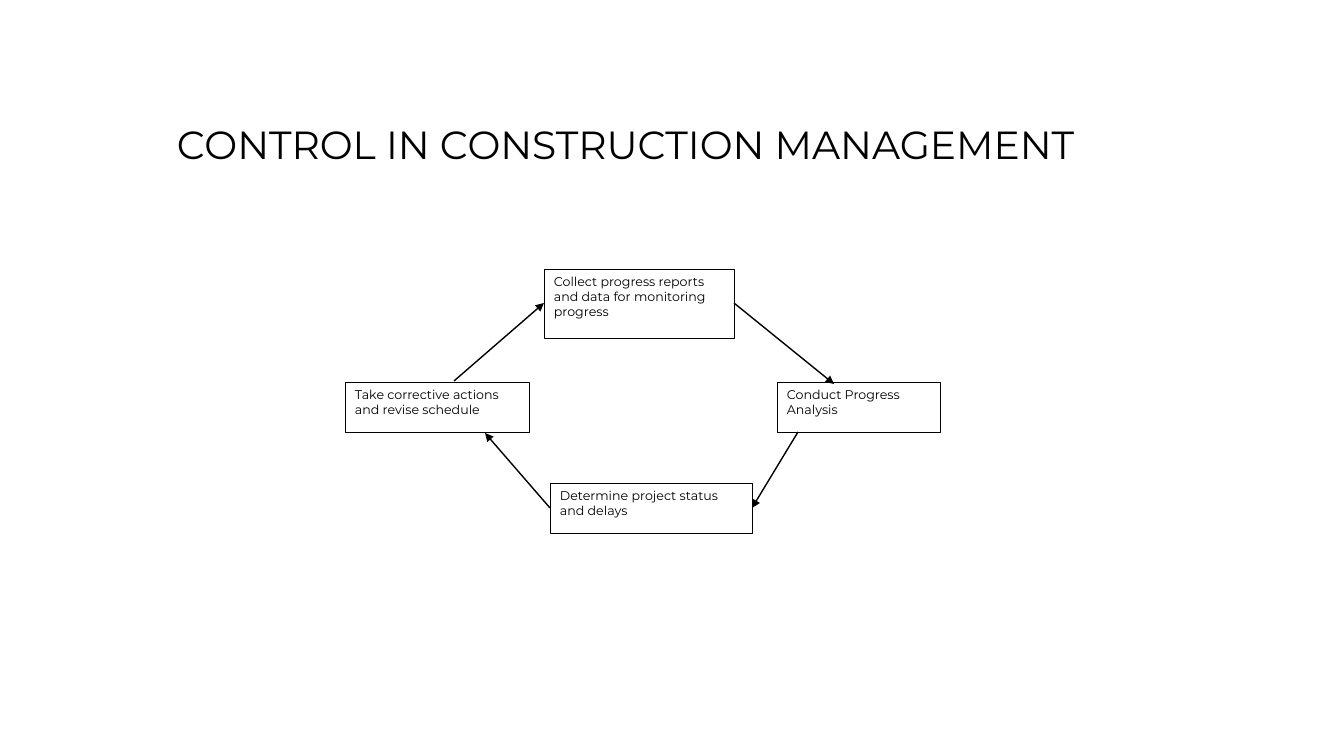
"""Build a slide showing the control cycle in construction management."""
import pptx
import pptx.util
import pptx.dml.color
import pptx.enum.shapes
import pptx.enum.text
import pptx.oxml

PX = 914400 / 100.8
FONT = "Montserrat"
COLORS = {"ink": "000000", "paper": "FFFFFF"}

TITLE = ("CONTROL IN CONSTRUCTION MANAGEMENT", (167, 89, 1030, 115))
STEPS = [
    ("Collect progress reports and data for monitoring progress", (544, 269, 190, 69)),
    ("Conduct Progress Analysis", (777, 382, 163, 50)),
    ("Determine project status and delays", (550, 483, 202, 50)),
    ("Take corrective actions and revise schedule", (345, 382, 184, 50)),
]
ARROWS = [
    (734, 303, 834, 384),
    (798, 432, 752, 508),
    (550, 508, 485, 433),
    (454, 381, 544, 303),
]


def emu(nums):
    return [pptx.util.Emu(round(n * PX)) for n in nums]


def color(name):
    return pptx.dml.color.RGBColor.from_string(COLORS[name])


def write(shape, text, size, anchor="TOP", after=0, lead=1.0):
    frame = shape.text_frame
    frame.word_wrap = True
    frame.vertical_anchor = getattr(pptx.enum.text.MSO_ANCHOR, anchor)
    para = frame.paragraphs[0]
    para.text = text
    para.alignment = pptx.enum.text.PP_ALIGN.LEFT
    para.space_after = pptx.util.Pt(after)
    para.line_spacing = lead
    para.font.name = FONT
    para.font.size = pptx.util.Pt(size)
    para.font.color.rgb = color("ink")


def add_step(slide, text, box):
    kind = pptx.enum.shapes.MSO_SHAPE.RECTANGLE
    step = slide.shapes.add_shape(kind, *emu(box))
    step.shadow.inherit = False
    step.fill.solid()
    step.fill.fore_color.rgb = color("paper")
    step.line.color.rgb = color("ink")
    step.line.width = pptx.util.Pt(0.5)
    write(step, text, 9, after=8)


def add_arrow(slide, ends):
    kind = pptx.enum.shapes.MSO_CONNECTOR.STRAIGHT
    arrow = slide.shapes.add_connector(kind, *emu(ends))
    arrow.line.color.rgb = color("ink")
    arrow.line.width = pptx.util.Pt(1)
    space = pptx.oxml.ns.nsdecls("a")
    head = pptx.oxml.parse_xml(f'<a:tailEnd {space} type="triangle"/>')
    arrow.line._get_or_add_ln().append(head)
    arrow._element.spPr.append(pptx.oxml.parse_xml(f"<a:effectLst {space}/>"))


def main():
    deck = pptx.Presentation()
    deck.slide_width, deck.slide_height = emu((1344, 756))
    slide = deck.slides.add_slide(deck.slide_layouts[6])
    text, box = TITLE
    title = slide.shapes.add_textbox(*emu(box))
    write(title, text, 28, anchor="MIDDLE", lead=0.9)
    for text, box in STEPS:
        add_step(slide, text, box)
    for ends in ARROWS:
        add_arrow(slide, ends)
    deck.save("out.pptx")


if __name__ == "__main__":
    main()
